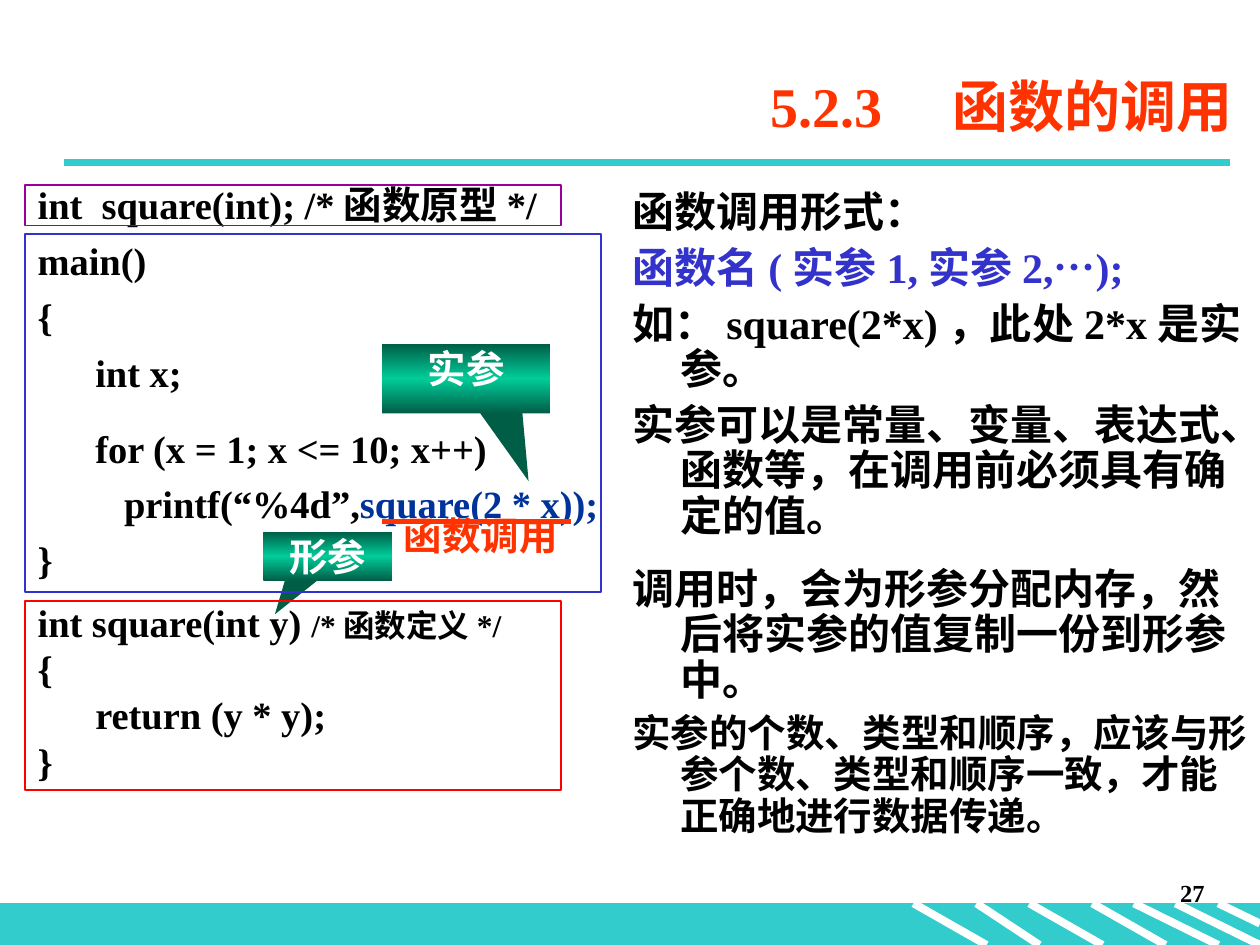
"""Build the slide on calling a function in C, with code and explanations."""
import copy
from dataclasses import dataclass, field

import pptx
import pptx.dml.color
import pptx.enum.shapes
import pptx.enum.text
import pptx.oxml.ns
import pptx.oxml.xmlchemy
import pptx.util
from lxml import etree

Inches = pptx.util.Inches
Pt = pptx.util.Pt
qn = pptx.oxml.ns.qn
Align = pptx.enum.text.PP_ALIGN
Anchor = pptx.enum.text.MSO_ANCHOR
Shape = pptx.enum.shapes.MSO_SHAPE

LATIN, CJK = "Times New Roman", "Noto Sans CJK SC"
BLACK, WHITE, TEAL, ORANGE, BLUE = "000000", "FFFFFF", "33CCCC", "FF3300", "3333CC"
HANGING = 0.38


@dataclass
class Run:
    text: str
    size: float = 22
    color: str = BLACK
    font: str = LATIN


@dataclass
class Para:
    runs: list[Run]
    before: float = 0
    align: Align = Align.LEFT
    spacing: float = 1.0
    indent: float = 0


@dataclass
class Box:
    left: float
    top: float
    width: float
    height: float


@dataclass
class Line:
    start: tuple[float, float]
    end: tuple[float, float]
    color: str = WHITE
    width: float = 4.5


@dataclass
class Frame:
    box: Box
    color: str
    width: float = 1
    fill: str = ""


@dataclass
class Callout:
    box: Box
    text: str
    tip: tuple[float, float]
    stops: list = field(default_factory=lambda: [(0, "005E47"), (0.5, "00CC99"), (1, "005E47")])


def rgb(value: str) -> pptx.dml.color.RGBColor:
    return pptx.dml.color.RGBColor.from_string(value)


def place(box: Box) -> list[int]:
    return [Inches(v) for v in (box.left, box.top, box.width, box.height)]


def write(tf, paras: list[Para], anchor: Anchor = Anchor.TOP) -> None:
    tf.word_wrap = True
    tf.vertical_anchor = anchor
    for i, para in enumerate(paras):
        p = tf.add_paragraph() if i else tf.paragraphs[0]
        layout = {"alignment": para.align, "line_spacing": para.spacing,
                  "space_before": Pt(para.before if i else 0)}
        for name, value in layout.items():
            setattr(p, name, value)
        if para.indent:
            pPr = p._p.get_or_add_pPr()
            pPr.set("marL", str(Inches(para.indent)))
            pPr.set("indent", str(-Inches(para.indent)))
        for run in para.runs:
            r = p.add_run()
            r.text = run.text
            r.font.color.rgb = rgb(run.color)
            for name, value in {"size": Pt(run.size), "bold": True, "name": run.font}.items():
                setattr(r.font, name, value)
            etree.SubElement(r._r.get_or_add_rPr(), qn("a:ea")).set("typeface", CJK)


def add_text(s, box: Box, paras: list[Para], anchor: Anchor = Anchor.TOP) -> None:
    write(s.shapes.add_textbox(*place(box)).text_frame, paras, anchor)


def add_line(s, line: Line) -> None:
    ends = [Inches(v) for v in line.start + line.end]
    sp = s.shapes.add_connector(pptx.enum.shapes.MSO_CONNECTOR.STRAIGHT, *ends)
    sp.line.color.rgb = rgb(line.color)
    sp.line.width = Pt(line.width)
    etree.SubElement(sp._element.spPr, qn("a:effectLst"))


def add_frame(s, frame: Frame) -> None:
    sp = s.shapes.add_shape(Shape.RECTANGLE, *place(frame.box))
    sp.shadow.inherit = False
    if frame.fill:
        sp.fill.solid()
        sp.fill.fore_color.rgb = rgb(frame.fill)
    else:
        sp.fill.background()
    sp.line.color.rgb = rgb(frame.color)
    sp.line.width = Pt(frame.width)


def add_callout(s, callout: Callout) -> None:
    sp = s.shapes.add_shape(Shape.RECTANGULAR_CALLOUT, *place(callout.box))
    sp.shadow.inherit = False
    sp.line.fill.background()
    for i, value in enumerate(callout.tip):
        sp.adjustments[i] = value
    sp.fill.gradient()
    sp.fill.gradient_angle = 90
    stops = next(sp._element.spPr.iter(qn("a:gsLst")))
    stops.append(copy.deepcopy(stops[-1]))
    for stop, (position, color) in zip(sp.fill.gradient_stops, callout.stops):
        stop.position = position
        stop.color.rgb = rgb(color)
    write(sp.text_frame, [label(callout.text, WHITE)])


def label(text: str, color: str) -> Para:
    return Para([Run(text, color=color)], align=Align.CENTER, spacing=0.9, indent=HANGING)


def code(text: str, before: float = 0) -> Para:
    return Para([Run(text)], before)


def note(*runs: Run, before: float = 6) -> Para:
    return Para(list(runs), before, spacing=0.9, indent=HANGING)


STRIPES = [Line((x, 7.17), end) for x, end in (
    (7.75, (8.25, 7.5)), (7.25, (7.83, 7.5)), (8.17, (8.75, 7.5)), (9.33, (10, 7.5)),
    (9, (9.67, 7.5)), (9.67, (10, 7.33)), (8.67, (9.25, 7.5)))]
CODE = [
    code("int  square(int); /*函数原型*/"),
    code("main()", 5.5),
    code("{", 5.5),
    code("      int x;", 5.5),
    code("      for (x = 1; x <= 10; x++)", 17),
    Para([Run("         printf(“%4d”,"), Run("square(2 * x));", color="003399")], 5.5),
    code("}", 5.5),
    Para([Run("int square(int y) "), Run("/*函数定义*/", 18)], 9.5),
    code("{"),
    code("      return (y * y);"),
    code("}"),
]
NOTES = [
    note(Run("函数调用形式：", 24)),
    note(Run("函数名(实参1,实参2,", 24, BLUE), Run("…", 24, BLUE, CJK), Run(");", 24, BLUE)),
    note(Run("如：square(2*x)，此处2*x是实参。", 24)),
    note(Run("实参可以是常量、变量、表达式、函数等，在调用前必须具有确定的值。", 24)),
    note(Run("调用时，会为形参分配内存，然后将实参的值复制一份到形参中。", 24), before=16),
    note(Run("实参的个数、类型和顺序，应该与形参个数、类型和顺序一致，才能正确地进行数据传递。"), before=5.5),
]
CALLOUTS = [
    Callout(Box(3.03, 2.73, 1.34, 0.55), "实参", (0.37, 1.48)),
    Callout(Box(2.09, 4.22, 1.02, 0.39), "形参", (-0.41, 1.18)),
]
FRAMES = [
    Frame(Box(0.2, 4.77, 4.25, 1.5), "FF0000"),
    Frame(Box(0.2, 1.86, 4.57, 2.84), BLUE),
    Frame(Box(0.2, 1.47, 4.25, 0.32), "990099"),
]


def main() -> None:
    prs = pptx.Presentation()
    prs.slide_width, prs.slide_height = Inches(10), Inches(7.5)
    s = prs.slides.add_slide(prs.slide_layouts[6])
    add_frame(s, Frame(Box(0, 7.17, 10, 0.33), TEAL, 0.75, TEAL))
    for line in STRIPES + [Line((0.51, 1.29), (9.76, 1.29), TEAL)]:
        add_line(s, line)
    add_text(s, Box(7.58, 6.92, 2.08, 0.5), [Para([Run("27", 14)], align=Align.RIGHT)])
    title = Para([Run("5.2.3　函数的调用", 32, ORANGE)], align=Align.RIGHT)
    add_text(s, Box(1.38, 0.44, 8.5, 0.79), [title], Anchor.MIDDLE)
    add_text(s, Box(0.2, 1.39, 6.85, 5.33), CODE)
    for callout in CALLOUTS:
        add_callout(s, callout)
    add_line(s, Line((3.03, 4.14), (4.53, 4.14), ORANGE, 3))
    add_text(s, Box(3.03, 4.06, 1.57, 0.43), [label("函数调用", ORANGE)])
    for frame in FRAMES:
        add_frame(s, frame)
    add_text(s, Box(4.92, 1.47, 5.08, 5.77), NOTES)
    prs.save("out.pptx")


if __name__ == "__main__":
    main()
